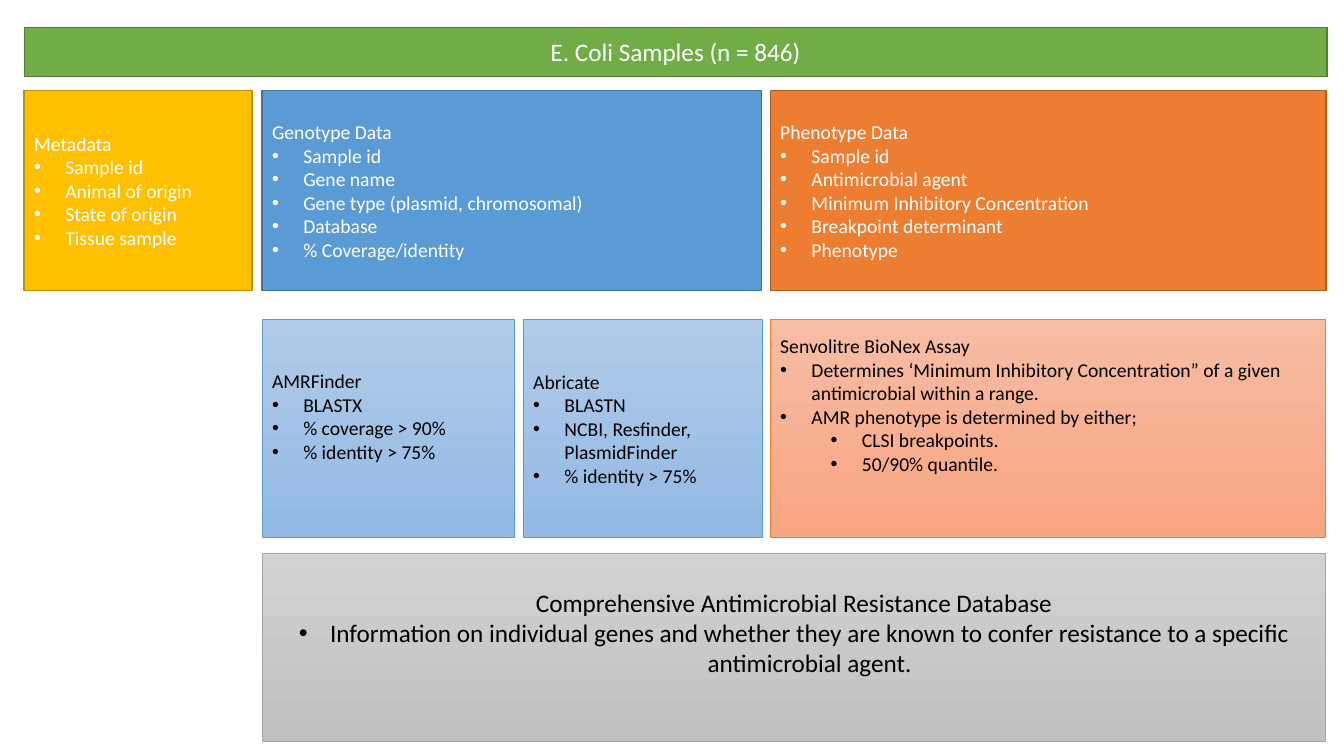
from pptx import Presentation
from pptx.dml.color import RGBColor
from pptx.enum import shapes, text
from pptx.oxml import parse_xml
from pptx.oxml.ns import nsdecls
from pptx.util import Inches, Pt

WHITE = RGBColor(0xFF, 0xFF, 0xFF)
BLACK = RGBColor(0, 0, 0)
GREEN, GREEN_EDGE = RGBColor(0x70, 0xAD, 0x47), RGBColor(0x53, 0x80, 0x35)
GOLD, GOLD_EDGE = RGBColor(0xFF, 0xC0, 0x00), RGBColor(0xBD, 0x8E, 0x00)
BLUE, BLUE_EDGE = RGBColor(0x5B, 0x9B, 0xD5), RGBColor(0x43, 0x73, 0x9E)
ORANGE, ORANGE_EDGE = RGBColor(0xED, 0x7D, 0x31), RGBColor(0xAF, 0x5C, 0x24)
GRAY = RGBColor(0xA5, 0xA5, 0xA5)
PALE_BLUE = (RGBColor(0xB1, 0xCB, 0xE9), RGBColor(0x93, 0xB9, 0xE4))
PALE_ORANGE = (RGBColor(0xF7, 0xBD, 0xA5), RGBColor(0xF8, 0xA5, 0x82))
PALE_GRAY = (RGBColor(0xD2, 0xD2, 0xD2), RGBColor(0xC0, 0xC0, 0xC0))

FONT = "Calibri"
INDENT, LEVEL_STEP = 0.31, 0.5
INSET = 0.05

# Column edges and row positions, in inches
META_X, GENO_X, ABRICATE_X, PHENO_X, RIGHT = 0.24, 2.6, 5.19, 7.64, 13.15
DATA_Y, DATA_H = 0.9, 1.98
METHOD_Y, METHOD_H = 3.17, 2.16


def place(shape, box):
    shape.left, shape.top, shape.width, shape.height = map(Inches, box)


def paint(shape, fill, edge, weight):
    """Fill with one colour, or from the first of two at the top to the second."""
    if isinstance(fill, RGBColor):
        shape.fill.solid()
        shape.fill.fore_color.rgb = fill
    else:
        shape.fill.gradient()
        shape.fill.gradient_angle = 270
        for stop, color in zip(shape.fill.gradient_stops, fill):
            stop.color.rgb = color
    shape.line.color.rgb = edge
    shape.line.width = Pt(weight)


def style(paragraph, size, color, align):
    paragraph.alignment = align
    paragraph.font.name = FONT
    paragraph.font.size = Pt(size)
    paragraph.font.color.rgb = color


def add_bullet(paragraph, level):
    paragraph.level = level
    props = paragraph._p.get_or_add_pPr()
    props.set("marL", str(Inches(INDENT + LEVEL_STEP * level)))
    props.set("indent", str(-Inches(INDENT)))
    props.append(parse_xml(f'<a:buFont {nsdecls("a")} typeface="Arial"/>'))
    props.append(parse_xml(f'<a:buChar {nsdecls("a")} char="•"/>'))


def header(slide, box, heading):
    banner = slide.shapes.title
    place(banner, box)
    paint(banner, GREEN, GREEN_EDGE, 1)
    frame = banner.text_frame
    frame.text = heading
    frame.auto_size = text.MSO_AUTO_SIZE.NONE
    frame.vertical_anchor = text.MSO_ANCHOR.MIDDLE
    style(frame.paragraphs[0], 18, WHITE, text.PP_ALIGN.CENTER)


def card(slide, box, heading, bullets, fill, edge, weight=0.5, color=BLACK,
         size=14, align=text.PP_ALIGN.LEFT, lift=0):
    """A heading over (level, wording) bullets; lift is extra space below them."""
    panel = slide.shapes.add_shape(shapes.MSO_SHAPE.RECTANGLE, 0, 0, 0, 0)
    panel.shadow.inherit = False
    place(panel, box)
    paint(panel, fill, edge, weight)
    frame = panel.text_frame
    frame.word_wrap = True
    frame.vertical_anchor = text.MSO_ANCHOR.MIDDLE
    frame.margin_bottom = Inches(INSET + lift)
    frame.text = heading
    style(frame.paragraphs[0], size, color, align)
    for level, wording in bullets:
        bullet = frame.add_paragraph()
        bullet.text = wording
        style(bullet, size, color, align)
        add_bullet(bullet, level)


def data_row(slide, y, height):
    columns = [
        (META_X, 2.5, GOLD, GOLD_EDGE, "Metadata",
         ["Sample id", "Animal of origin", "State of origin", "Tissue sample"]),
        (GENO_X, 7.55, BLUE, BLUE_EDGE, "Genotype Data",
         ["Sample id", "Gene name", "Gene type (plasmid, chromosomal)",
          "Database", "% Coverage/identity"]),
        (PHENO_X, RIGHT, ORANGE, ORANGE_EDGE, "Phenotype Data",
         ["Sample id", "Antimicrobial agent", "Minimum Inhibitory Concentration",
          "Breakpoint determinant", "Phenotype"]),
    ]
    for left, right, fill, edge, heading, fields in columns:
        card(slide, (left, y, right - left, height), heading,
             [(0, field) for field in fields], fill, edge, 1, WHITE)


def method_row(slide, y, height):
    columns = [
        (GENO_X, 5.1, PALE_BLUE, BLUE, 0.24, "AMRFinder",
         [(0, "BLASTX"), (0, "% coverage > 90%"), (0, "% identity > 75%")]),
        (ABRICATE_X, 7.56, PALE_BLUE, BLUE, 0, "Abricate",
         [(0, "BLASTN"), (0, "NCBI, Resfinder, PlasmidFinder"),
          (0, "% identity > 75%")]),
        (PHENO_X, RIGHT, PALE_ORANGE, ORANGE, 0.47, "Senvolitre BioNex Assay",
         [(0, "Determines ‘Minimum Inhibitory Concentration” of a given "
              "antimicrobial within a range."),
          (0, "AMR phenotype is determined by either;"),
          (1, "CLSI breakpoints."), (1, "50/90% quantile.")]),
    ]
    for left, right, fill, edge, lift, heading, bullets in columns:
        card(slide, (left, y, right - left, height), heading, bullets,
             fill, edge, lift=lift)


def database_panel(slide, box):
    card(slide, box, "Comprehensive Antimicrobial Resistance Database",
         [(0, "Information on individual genes and whether they are known to "
              "confer resistance to a specific antimicrobial agent.")],
         PALE_GRAY, GRAY, size=18, align=text.PP_ALIGN.CENTER, lift=0.3)


def main():
    deck = Presentation()
    deck.slide_width, deck.slide_height = Inches(13.33), Inches(7.5)
    slide = deck.slides.add_slide(deck.slide_layouts.get_by_name("Title Only"))
    header(slide, (META_X, 0.27, 12.92, 0.49), "E. Coli Samples (n = 846)")
    data_row(slide, DATA_Y, DATA_H)
    method_row(slide, METHOD_Y, METHOD_H)
    database_panel(slide, (GENO_X, 5.49, RIGHT - GENO_X, 1.87))
    deck.save("out.pptx")


if __name__ == "__main__":
    main()
